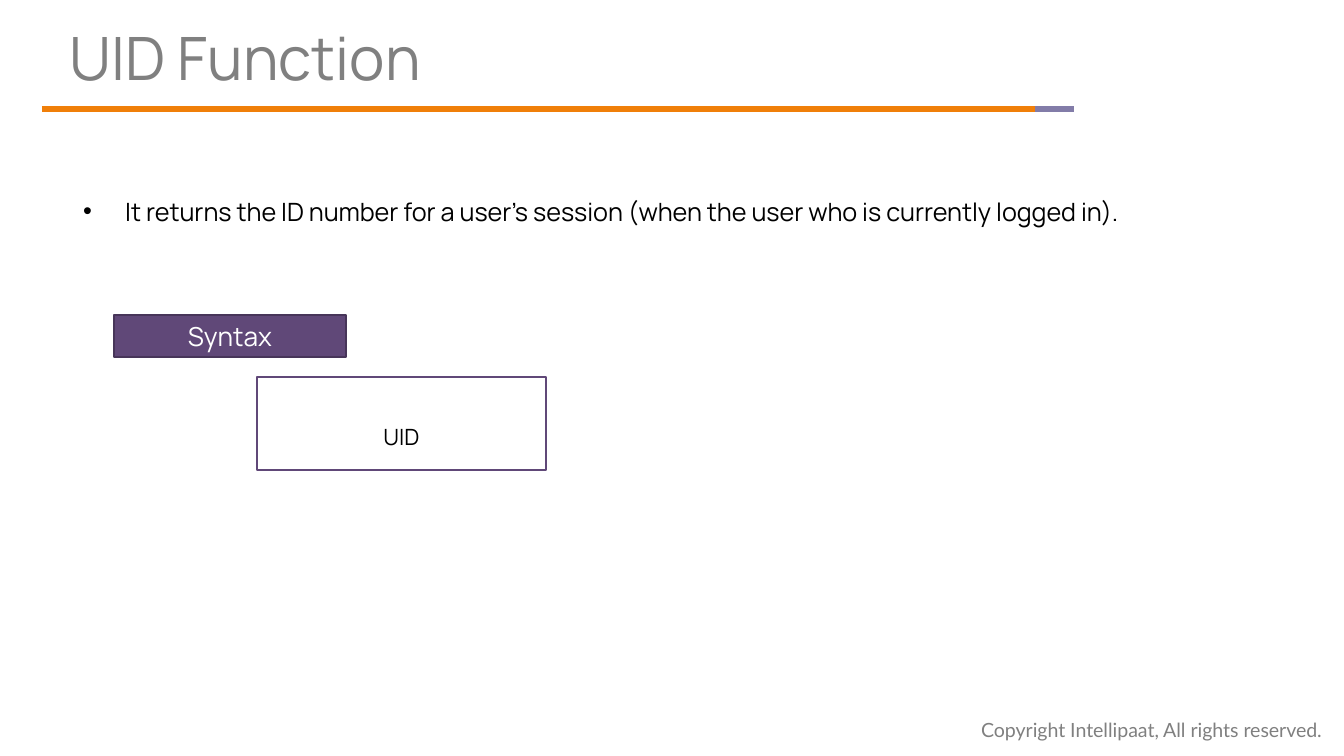
from lxml.etree import SubElement
from pptx import Presentation
from pptx.dml.color import RGBColor
from pptx.enum.shapes import MSO_CONNECTOR, MSO_SHAPE
from pptx.enum.text import MSO_ANCHOR, PP_ALIGN
from pptx.oxml.ns import qn
from pptx.util import Emu, Pt

EMU_PER_PX = 914400 / 134.4
ORANGE = RGBColor(0xF0, 0x7F, 0x09)
LAVENDER = RGBColor(0x82, 0x7C, 0xA8)
PURPLE = RGBColor(0x60, 0x48, 0x78)
DARK_PURPLE = RGBColor(0x47, 0x35, 0x59)
GRAY = RGBColor(0x80, 0x80, 0x80)
BLACK = RGBColor(0, 0, 0)
WHITE = RGBColor(0xFF, 0xFF, 0xFF)


def px(length):
    return Emu(round(length * EMU_PER_PX))


def write(frame, text, size, color, font="Manrope", align=PP_ALIGN.LEFT,
          spacing=1.0, anchor=MSO_ANCHOR.TOP, wrap=True, bullet_indent=0):
    """Fill a text frame with one paragraph; a bullet_indent in px adds a bullet."""
    frame.word_wrap = wrap
    frame.vertical_anchor = anchor
    paragraph = frame.paragraphs[0]
    paragraph.alignment = align
    paragraph.line_spacing = spacing
    if bullet_indent:
        properties = paragraph._p.get_or_add_pPr()
        properties.set("marL", str(px(bullet_indent)))
        properties.set("indent", str(-px(bullet_indent)))
        SubElement(properties, qn("a:buFont"), typeface="Arial")
        SubElement(properties, qn("a:buChar"), char="•")
    run = paragraph.add_run()
    run.text = text
    run.font.name = font
    run.font.size = Pt(size)
    run.font.color.rgb = color


def add_label(slide, left, top, width, height, text, **text_format):
    label = slide.shapes.add_textbox(px(left), px(top), px(width), px(height))
    write(label.text_frame, text, **text_format)
    return label


def add_rule(slide, left, right, y, color):
    rule = slide.shapes.add_connector(
        MSO_CONNECTOR.STRAIGHT, px(left), px(y), px(right), px(y))
    rule.line.color.rgb = color
    rule.line.width = Pt(3)
    SubElement(rule._element.spPr, qn("a:effectLst"))


def add_box(slide, left, top, width, height, text, fill, border, border_width,
            **text_format):
    box = slide.shapes.add_shape(
        MSO_SHAPE.RECTANGLE, px(left), px(top), px(width), px(height))
    box.shadow.inherit = False
    if fill is None:
        box.fill.background()
    else:
        box.fill.solid()
        box.fill.fore_color.rgb = fill
    box.line.color.rgb = border
    box.line.width = Pt(border_width)
    write(box.text_frame, text, align=PP_ALIGN.CENTER,
          anchor=MSO_ANCHOR.MIDDLE, **text_format)


def add_header(slide, left, top, width, title):
    """Title above a two-coloured rule."""
    heading = add_label(slide, left + 28, top, 995, 54, title, size=32,
                        color=GRAY, spacing=0.9)
    heading.text_frame.margin_left = 0
    accent = left + width - 39
    add_rule(slide, left, accent, top + 87, ORANGE)
    add_rule(slide, accent, left + width, top + 87, LAVENDER)


def add_syntax(slide, left, top, code):
    """Syntax tag with the code box below and to its right."""
    add_box(slide, left, top, 232, 42, "Syntax", PURPLE, DARK_PURPLE, 1,
            size=14, color=WHITE)
    add_box(slide, left + 143, top + 62, 289, 93, code, None, PURPLE, 0.75,
            size=12, color=BLACK, spacing=2.0)


def main():
    deck = Presentation()
    deck.slide_width, deck.slide_height = px(1344), px(756)
    slide = deck.slides.add_slide(deck.slide_layouts[6])
    add_label(slide, 968, 711, 380, 38,
              "Copyright Intellipaat, All rights reserved.",
              size=10.5, color=GRAY, font="Lato", wrap=False)
    add_label(slide, 70, 159, 1251, 66,
              "It returns the ID number for a user's session "
              "(when the user who is currently logged in).",
              size=13.5, color=BLACK, spacing=2.0, bullet_indent=42)
    add_header(slide, 42, 22, 1032, "UID Function")
    add_syntax(slide, 114, 315, "UID")
    deck.save("out.pptx")


if __name__ == "__main__":
    main()
